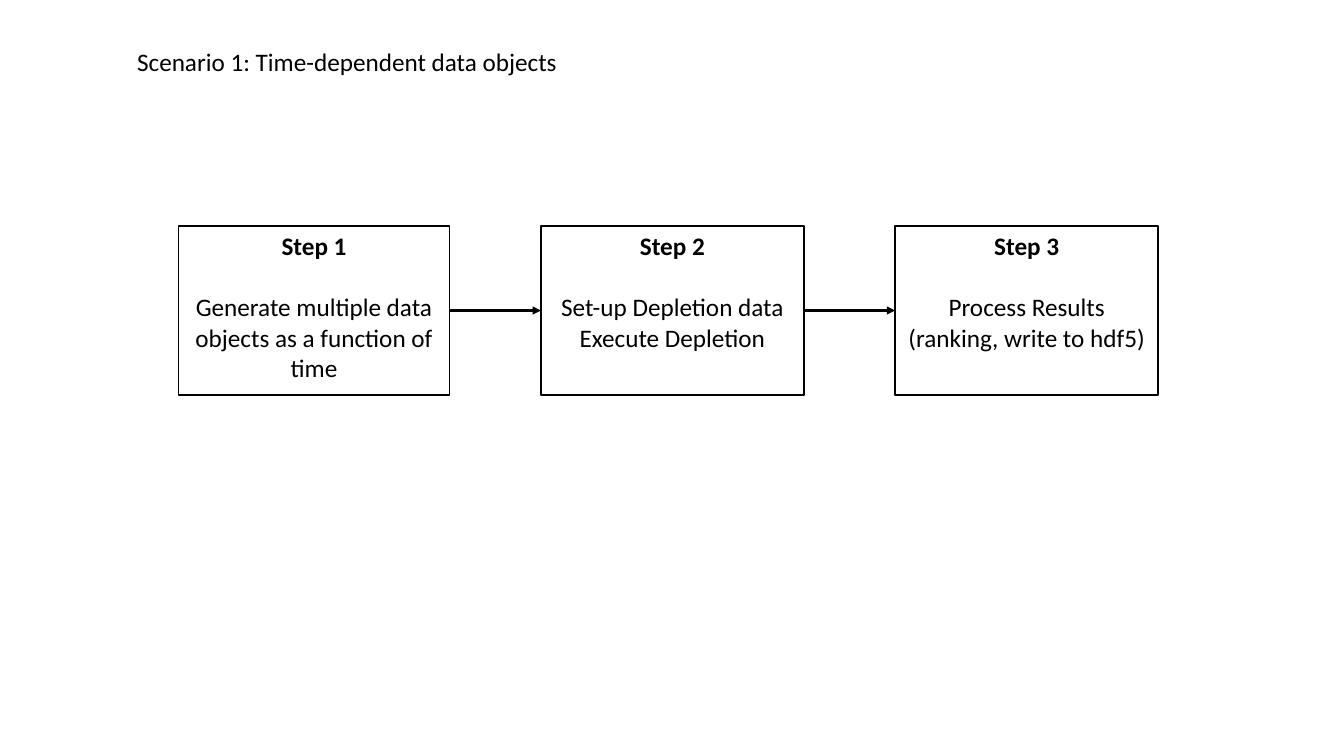
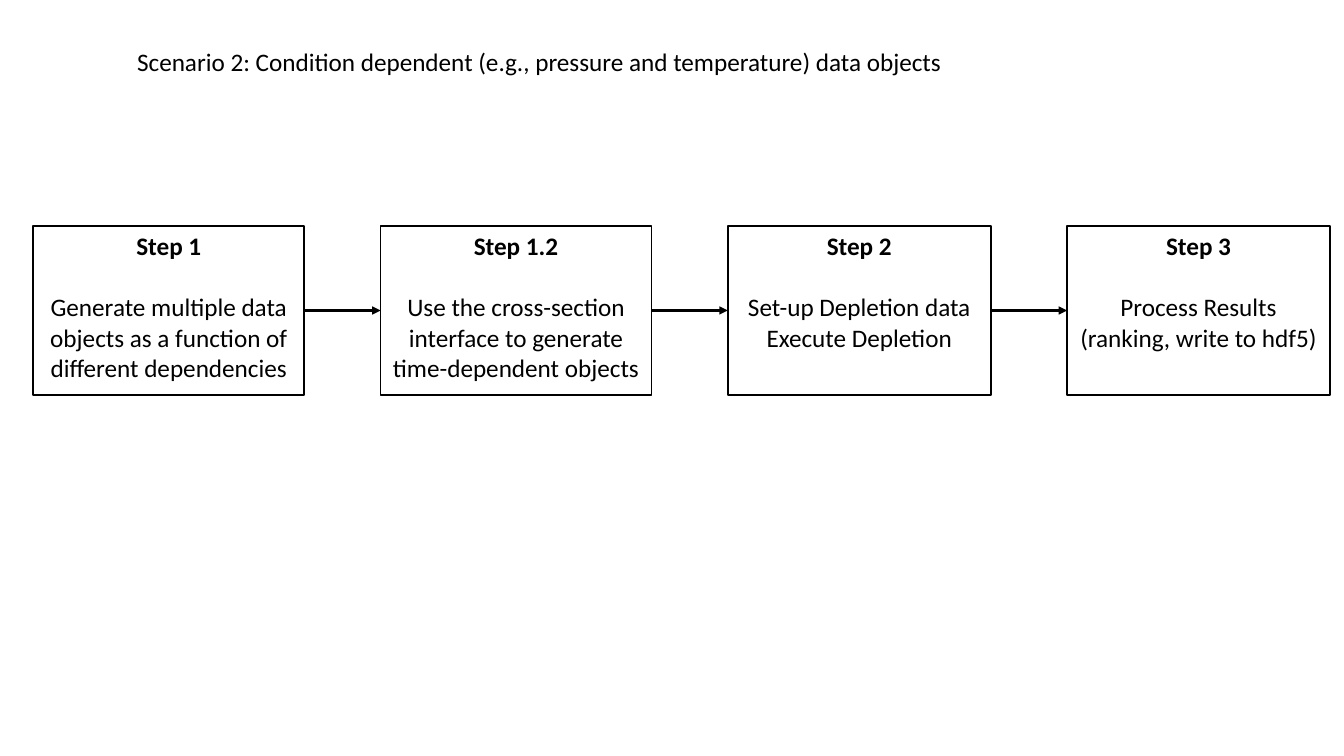
"""Build two slides that show scenario workflows as rows of linked step boxes."""
from dataclasses import dataclass

from lxml import etree
from pptx import Presentation
from pptx.dml.color import RGBColor
from pptx.enum import shapes, text
from pptx.oxml import ns
from pptx.util import Cm, Pt

COLORS = {"ink": "000000", "paper": "FFFFFF"}
FONT = "Calibri"
TEXT_SIZE = Pt(18)
BLANK_LINE = Pt(22)
BOX_TOP, BOX_HEIGHT = Cm(5.69), Cm(4.27)


@dataclass(frozen=True)
class Step:
    heading: str
    lines: tuple[str, ...]
    width: float


@dataclass(frozen=True)
class Scenario:
    title: str
    left: float
    gap: float
    steps: tuple[Step, ...]


DEPLETION = Step("Step 2", ("Set-up Depletion data", "Execute Depletion"), 6.63)
RESULTS = Step("Step 3", ("Process Results", "(ranking, write to hdf5)"), 6.63)

SCENARIOS = (
    Scenario("Scenario 1: Time-dependent data objects", 4.5, 2.3, (
        Step("Step 1", ("Generate multiple data objects as a function of time",), 6.83),
        DEPLETION,
        RESULTS,
    )),
    Scenario("Scenario 2: Condition dependent (e.g., pressure and temperature) data objects", 0.84, 1.92, (
        Step("Step 1", ("Generate multiple data objects as a function of different dependencies",), 6.83),
        Step("Step 1.2", ("Use the cross-section interface to generate time-dependent objects",), 6.83),
        DEPLETION,
        RESULTS,
    )),
)


def color(name: str) -> RGBColor:
    return RGBColor.from_string(COLORS[name])


def format_text(frame, alignment) -> None:
    frame.word_wrap = True
    frame.auto_size = text.MSO_AUTO_SIZE.NONE
    frame.vertical_anchor = text.MSO_ANCHOR.TOP
    for para in frame.paragraphs:
        para.alignment = alignment
        for span in para.runs:
            span.font.name = FONT
            span.font.size = TEXT_SIZE
            span.font.color.rgb = color("ink")


def add_title(page, title: str) -> None:
    box = page.shapes.title
    box.left, box.top, box.width, box.height = Cm(3.2), Cm(1.04), Cm(27.91), Cm(1.03)
    box.text_frame.text = title
    format_text(box.text_frame, text.PP_ALIGN.LEFT)


def add_step(page, step: Step, left: float):
    box = page.shapes.add_shape(
        shapes.MSO_SHAPE.RECTANGLE, Cm(left), BOX_TOP, Cm(step.width), BOX_HEIGHT)
    box.shadow.inherit = False
    box.fill.background()
    box.line.color.rgb = color("ink")
    box.line.width = Pt(1.25)
    frame = box.text_frame
    frame.text = "\n".join((step.heading, *step.lines))
    format_text(frame, text.PP_ALIGN.CENTER)
    frame.paragraphs[0].runs[0].font.bold = True
    frame.paragraphs[1].space_before = BLANK_LINE
    return box


def add_arrow(page, source, target) -> None:
    arrow = page.shapes.add_connector(shapes.MSO_CONNECTOR.STRAIGHT, 0, 0, 0, 0)
    arrow.begin_connect(source, 3)
    arrow.end_connect(target, 1)
    arrow.line.color.rgb = color("ink")
    arrow.line.width = Pt(1.5)
    etree.SubElement(arrow.line._get_or_add_ln(), ns.qn("a:tailEnd"), type="triangle")
    etree.SubElement(arrow._element.spPr, ns.qn("a:effectLst"))


def add_scenario(deck, scenario: Scenario) -> None:
    page = deck.slides.add_slide(deck.slide_layouts.get_by_name("Title Only"))
    page.background.fill.solid()
    page.background.fill.fore_color.rgb = color("paper")
    add_title(page, scenario.title)
    boxes = []
    left = scenario.left
    for step in scenario.steps:
        boxes.append(add_step(page, step, left))
        left += step.width + scenario.gap
    for source, target in zip(boxes, boxes[1:]):
        add_arrow(page, source, target)


def main() -> None:
    deck = Presentation()
    deck.slide_width, deck.slide_height = Cm(33.87), Cm(19.05)
    for scenario in SCENARIOS:
        add_scenario(deck, scenario)
    deck.save("out.pptx")


if __name__ == "__main__":
    main()
